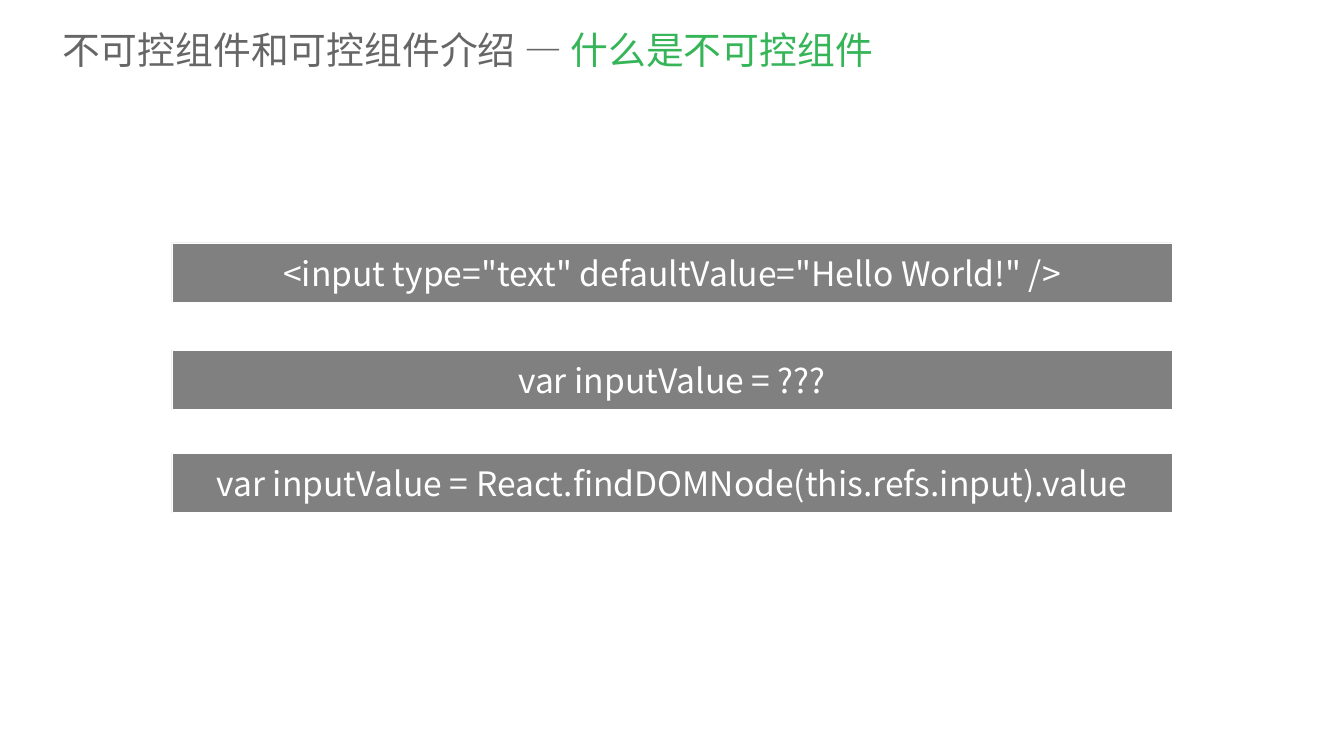
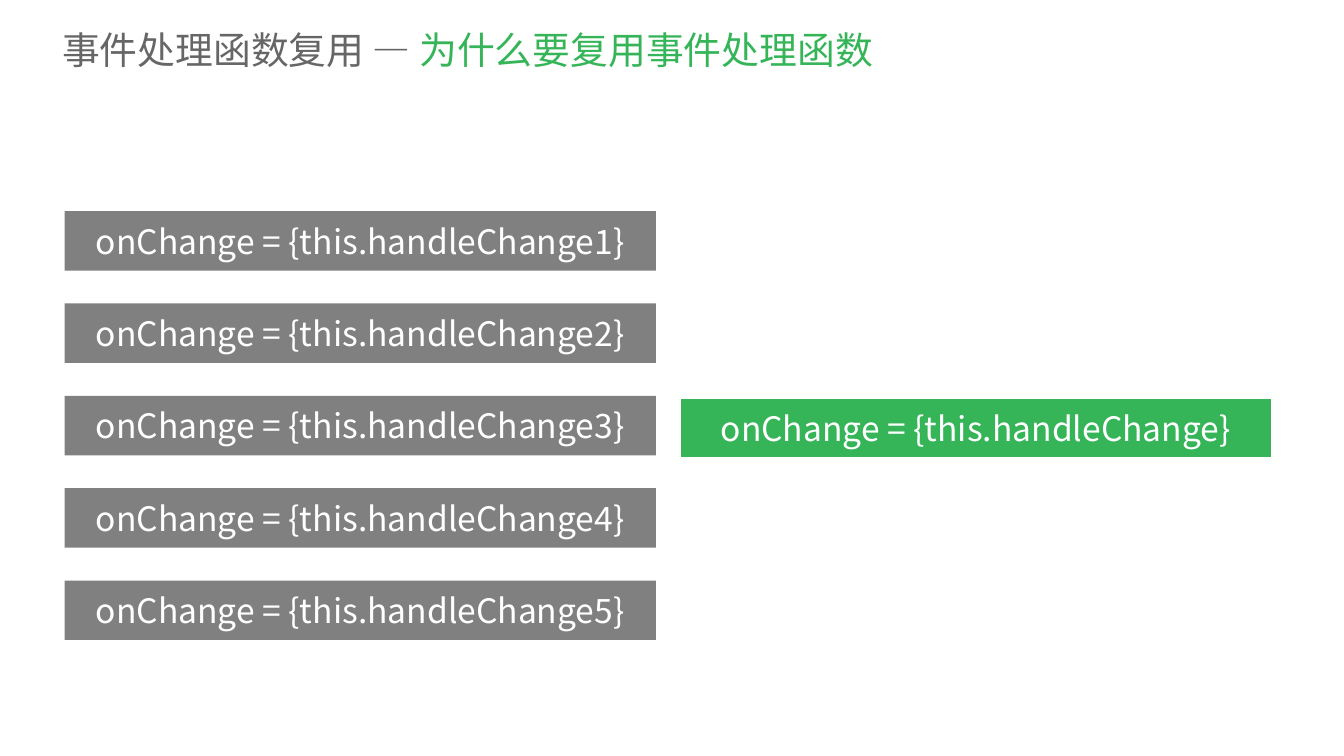
from lxml import etree
from pptx import Presentation
from pptx import util as u
from pptx.dml.color import RGBColor
from pptx.enum import shapes, text
from pptx.oxml.ns import qn

GREY = RGBColor(0x80, 0x80, 0x80)
INK = RGBColor(0x66, 0x66, 0x66)
GREEN = RGBColor(0x35, 0xB5, 0x58)
WHITE = RGBColor(0xFF, 0xFF, 0xFF)
FONT = "Noto Sans CJK SC"
WIDTH, HEIGHT = u.Inches(26.66), u.Inches(15)
COL, ROW = WIDTH / 100, HEIGHT / 100
TITLE_BOX = (4.24, 2.87, 94.34, 7.33)
BAR_H = 7.87


def grid(x, y, w, h):
    """Turn a box in columns and rows of the slide into lengths."""
    return round(x * COL), round(y * ROW), round(w * COL), round(h * ROW)


def style(r, size, color):
    """Give a run the shared typeface, a size and a colour."""
    r.font.size = u.Pt(size)
    r.font.color.rgb = color
    r.font.name = FONT
    ea = etree.SubElement(r.font._element, qn("a:ea"))
    ea.set("typeface", FONT)


def add_slide(prs, topic, question):
    """Add a slide titled with a grey topic and a green question."""
    s = prs.slides.add_slide(prs.slide_layouts[5])
    title = s.shapes.title
    title.left, title.top, title.width, title.height = grid(*TITLE_BOX)
    tf = title.text_frame
    tf.word_wrap = True
    tf.auto_size = text.MSO_AUTO_SIZE.NONE
    tf.vertical_anchor = text.MSO_ANCHOR.MIDDLE
    p = tf.paragraphs[0]
    p.alignment = text.PP_ALIGN.LEFT
    for words, color in ((f"{topic} — ", INK), (question, GREEN)):
        r = p.add_run()
        r.text = words
        style(r, 54, color)
    return s


def code_bar(s, box, code, fill, outlined):
    """Draw one line of code centred on a filled bar."""
    sp = s.shapes.add_shape(shapes.MSO_SHAPE.RECTANGLE, *grid(*box))
    sp.shadow.inherit = False
    sp.fill.solid()
    sp.fill.fore_color.rgb = fill
    if outlined:
        sp.line.color.rgb = WHITE
        sp.line.width = u.Pt(0.75)
    else:
        sp.line.fill.background()
    tf = sp.text_frame
    tf.word_wrap = False
    tf.vertical_anchor = text.MSO_ANCHOR.MIDDLE
    tf.text = code
    p = tf.paragraphs[0]
    p.alignment = text.PP_ALIGN.CENTER
    style(p.runs[0], 48, WHITE)


def code_stack(s, box, codes, steps, outlined):
    """Stack grey code bars at the given shares of the box's spare height."""
    x, y, w, h = box
    for code, step in zip(codes, steps):
        code_bar(s, (x, y + step * (h - BAR_H), w, BAR_H), code, GREY, outlined)


def uncontrolled_slide(prs):
    """Show how an uncontrolled component's value is read."""
    s = add_slide(prs, "不可控组件和可控组件介绍", "什么是不可控组件")
    codes = (
        '<input type="text" defaultValue="Hello World!" />',
        "var inputValue = ???",
        "var inputValue = React.findDOMNode(this.refs.input).value",
    )
    code_stack(s, (12.79, 32.13, 74.42, 35.67), codes, (0, 0.51, 1), True)


def reuse_slide(prs):
    """Set five separate handlers beside the one that replaces them."""
    s = add_slide(prs, "事件处理函数复用", "为什么要复用事件处理函数")
    count = 5
    codes = [f"onChange = {{this.handleChange{i + 1}}}" for i in range(count)]
    steps = [i / (count - 1) for i in range(count)]
    code_stack(s, (4.8, 27.93, 44, 56.73), codes, steps, False)
    code_bar(s, (50.6, 52.67, 44, BAR_H), "onChange = {this.handleChange}", GREEN, True)


def main():
    """Build and save the presentation."""
    prs = Presentation()
    prs.slide_width, prs.slide_height = WIDTH, HEIGHT
    uncontrolled_slide(prs)
    reuse_slide(prs)
    prs.save("out.pptx")


if __name__ == "__main__":
    main()
